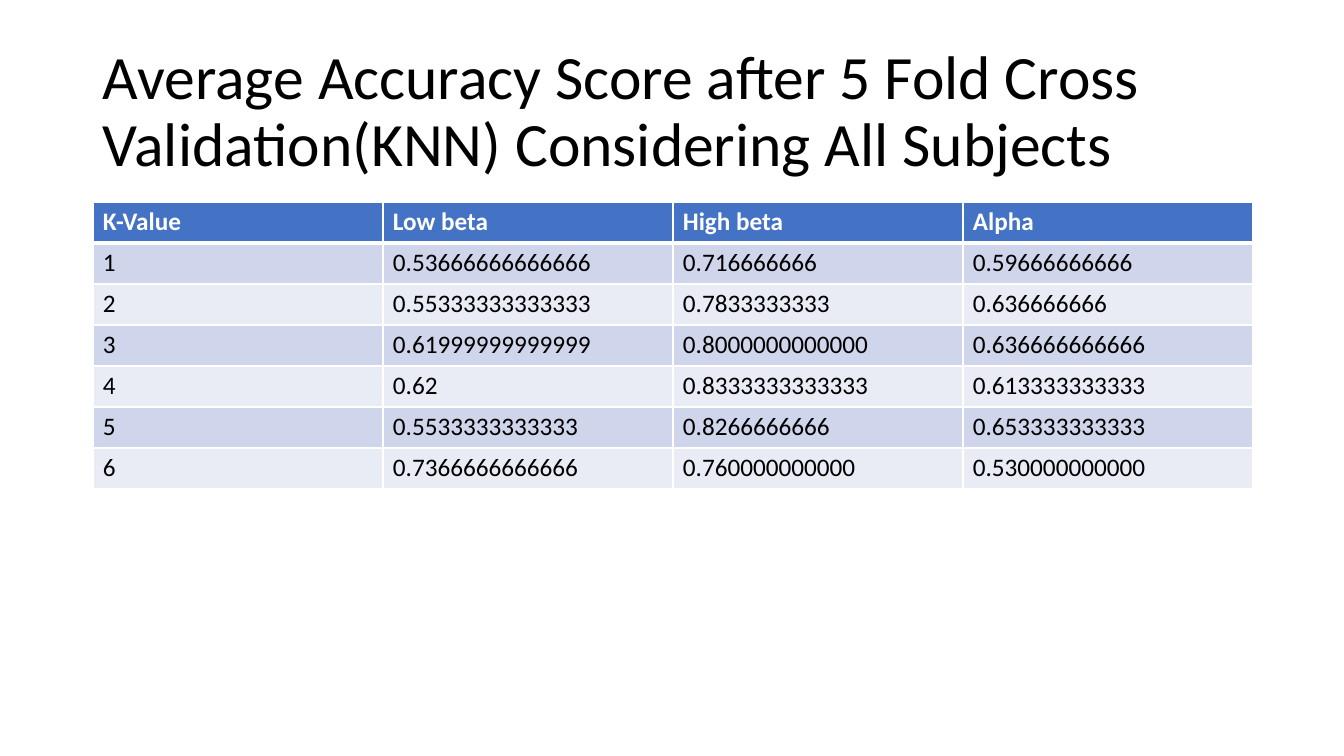
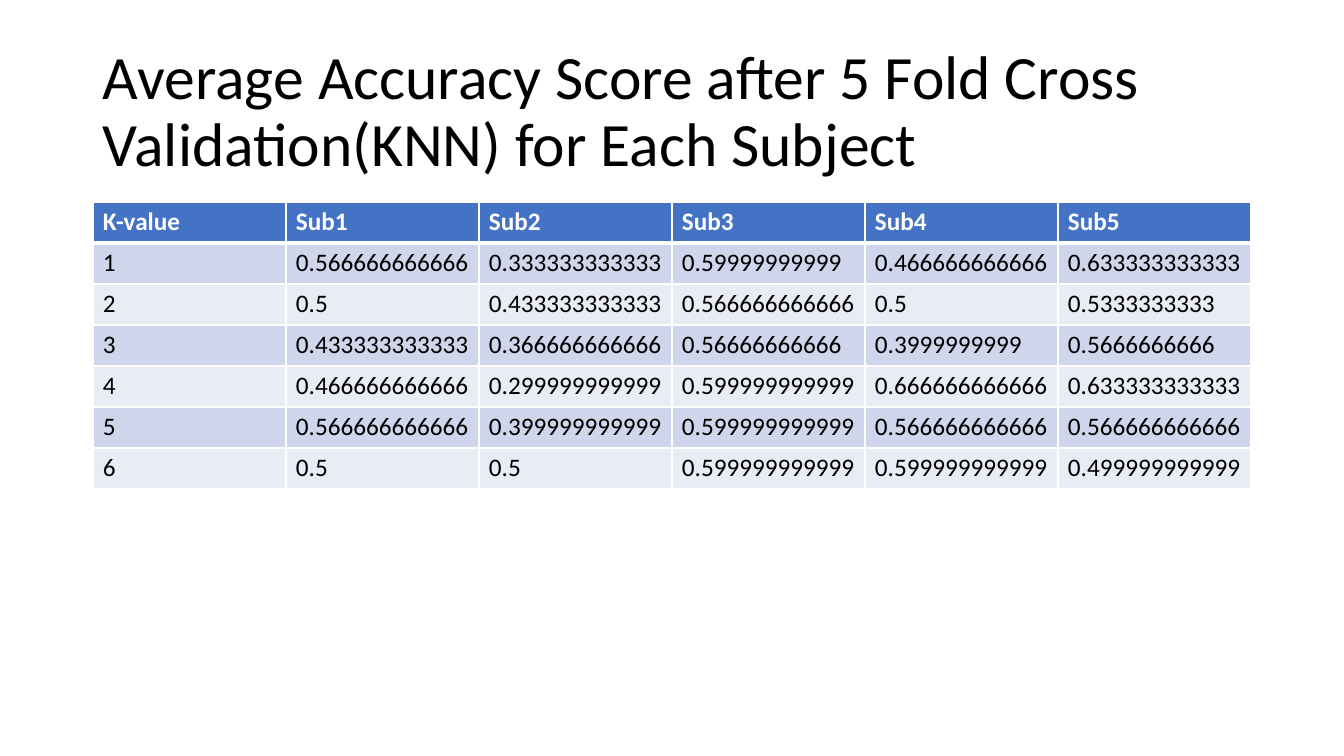
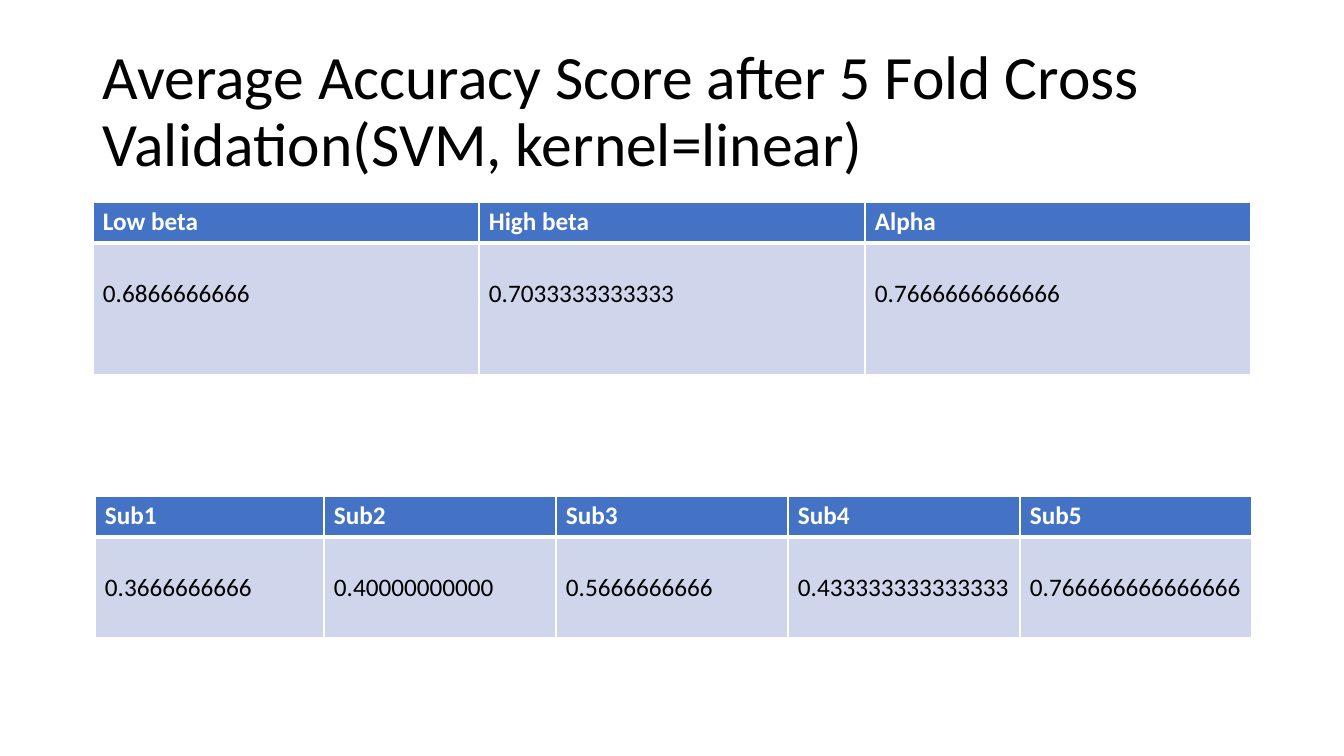
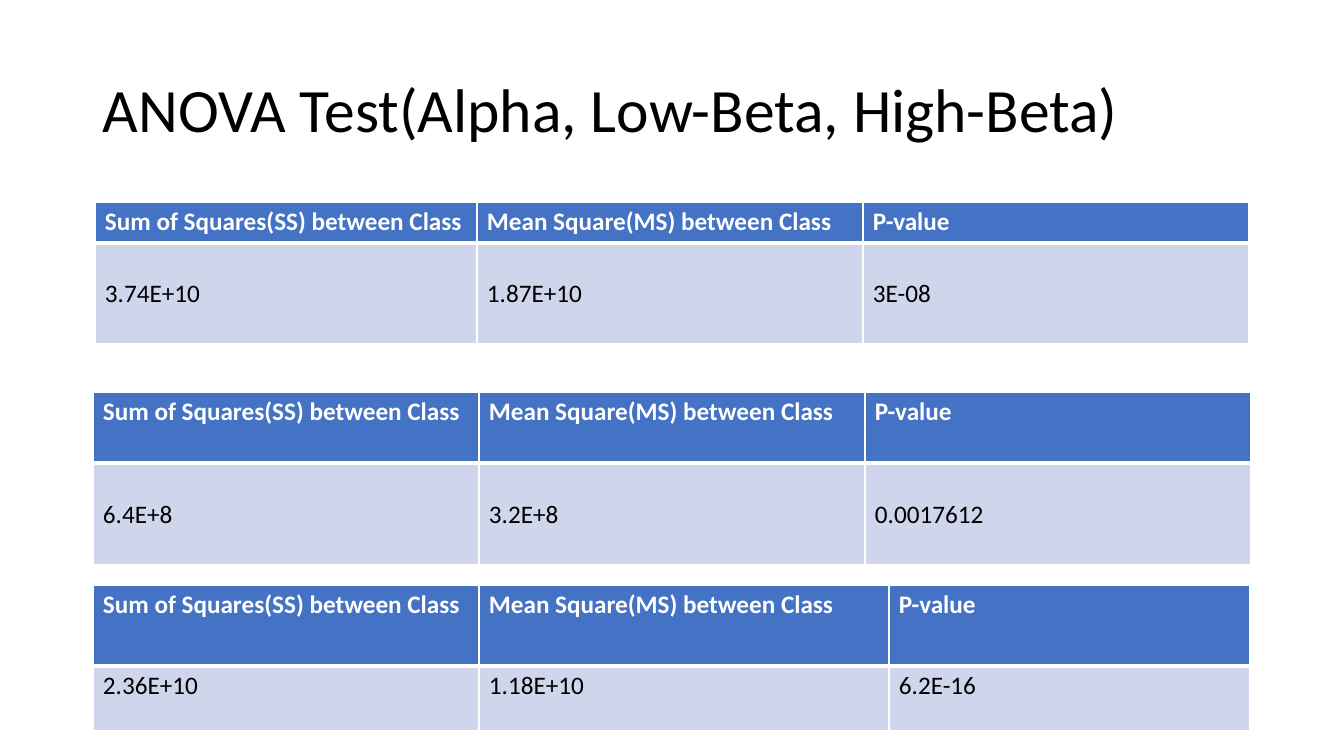
from lxml import etree
from pptx import Presentation
from pptx.dml.color import RGBColor
from pptx.enum import text
from pptx.oxml import ns
from pptx.util import Emu, Pt

SCALE = 914400 / 100.8
FONT = "Calibri"
COLORS = {"header": "4472C4", "odd": "CFD5EA", "even": "E9EBF5",
          "rule": "FFFFFF", "header_text": "FFFFFF", "text": "000000"}
LEFT, TOP, ROW = 93, 202, 41
INSET, LOW_INSET = 5, 36


def px(length):
    return Emu(round(length * SCALE))


def style_run(run, size, color, bold=False):
    for key, value in {"name": FONT, "size": Pt(size), "bold": bold}.items():
        setattr(run.font, key, value)
    run.font.color.rgb = RGBColor.from_string(COLORS[color])


anova_header = ["Sum of Squares(SS) between Class", "Mean Square(MS) between Class", "P-value"]

decks = [
    ("Average Accuracy Score after 5 Fold Cross Validation(KNN) Considering All Subjects", [
        (LEFT, TOP, [290] * 4, [ROW] * 7, INSET, [
            ["K-Value", "Low beta", "High beta", "Alpha"],
            ["1", "0.53666666666666", "0.716666666", "0.59666666666"],
            ["2", "0.55333333333333", "0.7833333333", "0.636666666"],
            ["3", "0.61999999999999", "0.8000000000000", "0.636666666666"],
            ["4", "0.62", "0.8333333333333", "0.613333333333"],
            ["5", "0.5533333333333", "0.8266666666", "0.653333333333"],
            ["6", "0.7366666666666", "0.760000000000", "0.530000000000"],
        ]),
    ]),
    ("Average Accuracy Score after 5 Fold Cross Validation(KNN) for Each Subject", [
        (LEFT, TOP, [193] * 6, [ROW] * 7, INSET, [
            ["K-value", "Sub1", "Sub2", "Sub3", "Sub4", "Sub5"],
            ["1", "0.566666666666", "0.333333333333", "0.59999999999", "0.466666666666", "0.633333333333"],
            ["2", "0.5", "0.433333333333", "0.566666666666", "0.5", "0.5333333333"],
            ["3", "0.433333333333", "0.366666666666", "0.56666666666", "0.3999999999", "0.5666666666"],
            ["4", "0.466666666666", "0.299999999999", "0.599999999999", "0.666666666666", "0.633333333333"],
            ["5", "0.566666666666", "0.399999999999", "0.599999999999", "0.566666666666", "0.566666666666"],
            ["6", "0.5", "0.5", "0.599999999999", "0.599999999999", "0.499999999999"],
        ]),
    ]),
    ("Average Accuracy Score after 5 Fold Cross Validation(SVM, kernel=linear)", [
        (LEFT, TOP, [386] * 3, [ROW, 132], LOW_INSET, [
            ["Low beta", "High beta", "Alpha"],
            ["0.6866666666", "0.7033333333333", "0.7666666666666"],
        ]),
        (95, 496, [229] + [232] * 4, [ROW, 101], LOW_INSET, [
            ["Sub1", "Sub2", "Sub3", "Sub4", "Sub5"],
            ["0.3666666666", "0.40000000000", "0.5666666666", "0.433333333333333", "0.766666666666666"],
        ]),
    ]),
    ("ANOVA Test(Alpha, Low-Beta, High-Beta)", [
        (95, TOP, [382, 386, 386], [ROW, 101], LOW_INSET, [anova_header, ["3.74E+10", "1.87E+10", "3E-08"]]),
        (LEFT, 392, [386] * 3, [71, 102], LOW_INSET, [anova_header, ["6.4E+8", "3.2E+8", "0.0017612"]]),
        (LEFT, 585, [386, 410, 361], [81, 65], INSET, [anova_header, ["2.36E+10", "1.18E+10", "6.2E-16"]]),
    ]),
]

prs = Presentation()
prs.slide_width, prs.slide_height = px(1344), px(756)

for heading, score_tables in decks:
    slide = prs.slides.add_slide(prs.slide_layouts[6])
    title = slide.shapes.add_textbox(px(LEFT), px(40), px(1159), px(146)).text_frame
    title.word_wrap = True
    title.vertical_anchor = text.MSO_ANCHOR.MIDDLE
    title.paragraphs[0].line_spacing = 0.9
    title_run = title.paragraphs[0].add_run()
    title_run.text = heading
    style_run(title_run, 44, "text")

    for left, top, widths, heights, body_inset, rows in score_tables:
        scores = slide.shapes.add_table(len(rows), len(widths), px(left), px(top),
                                        px(sum(widths)), px(sum(heights))).table
        for column, width in zip(scores.columns, widths):
            column.width = px(width)
        for r, (values, height) in enumerate(zip(rows, heights)):
            scores.rows[r].height = px(height)
            band = "header" if r == 0 else "odd" if r % 2 else "even"
            rules = {"L": 1, "R": 1, "T": 3 if r == 1 else 1, "B": 3 if r == 0 else 1}
            for c, value in enumerate(values):
                cell = scores.cell(r, c)
                for side, weight in rules.items():
                    rule = etree.SubElement(cell._tc.get_or_add_tcPr(), ns.qn(f"a:ln{side}"), w=str(Pt(weight)))
                    paint = etree.SubElement(rule, ns.qn("a:solidFill"))
                    etree.SubElement(paint, ns.qn("a:srgbClr"), val=COLORS["rule"])
                cell.fill.solid()
                cell.fill.fore_color.rgb = RGBColor.from_string(COLORS[band])
                cell.margin_left = cell.margin_right = px(10)
                cell.margin_top = px(body_inset if r else INSET)
                cell.margin_bottom = px(INSET)
                score_run = cell.text_frame.paragraphs[0].add_run()
                score_run.text = value
                style_run(score_run, 18, "text" if r else "header_text", r == 0)

prs.save("out.pptx")
